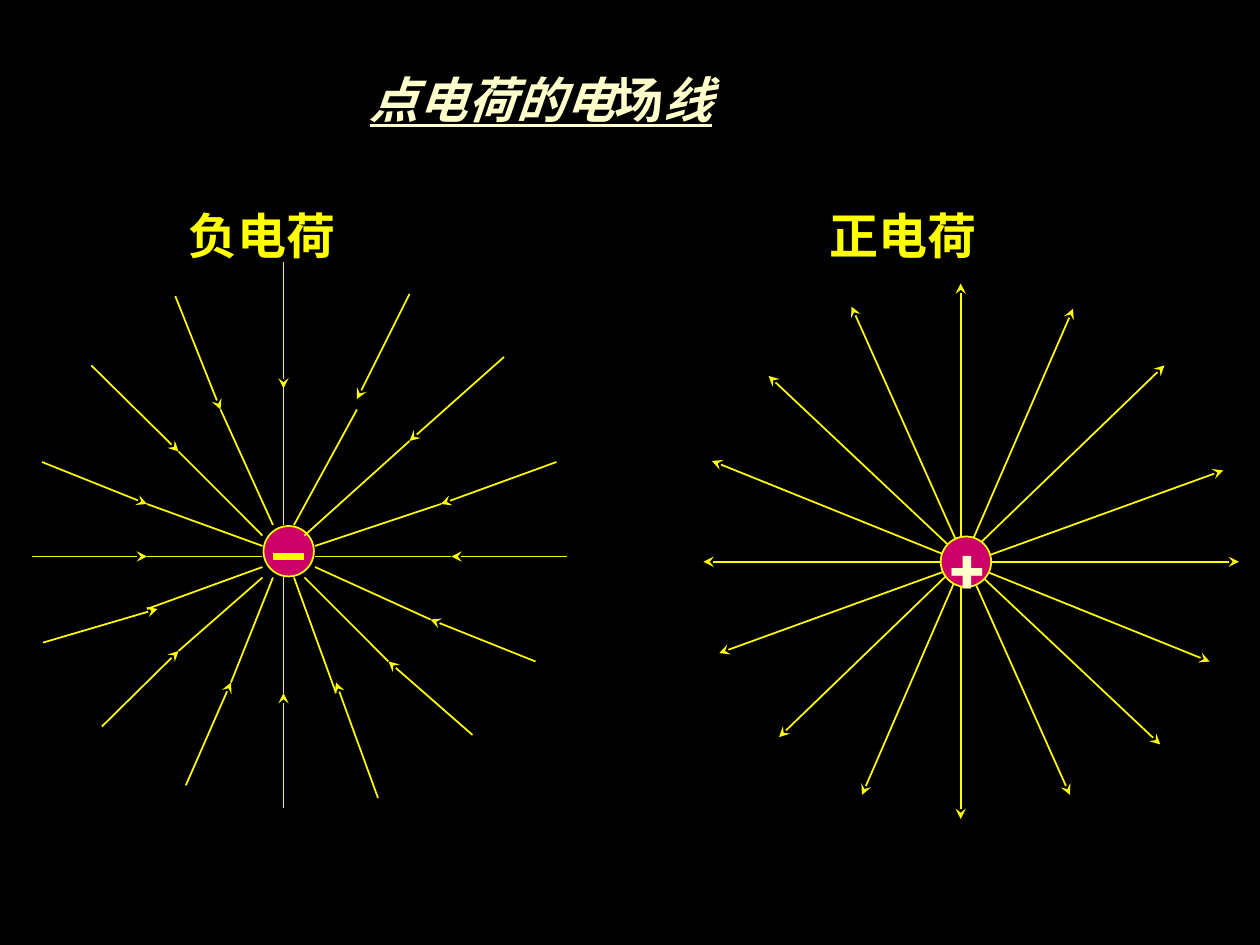
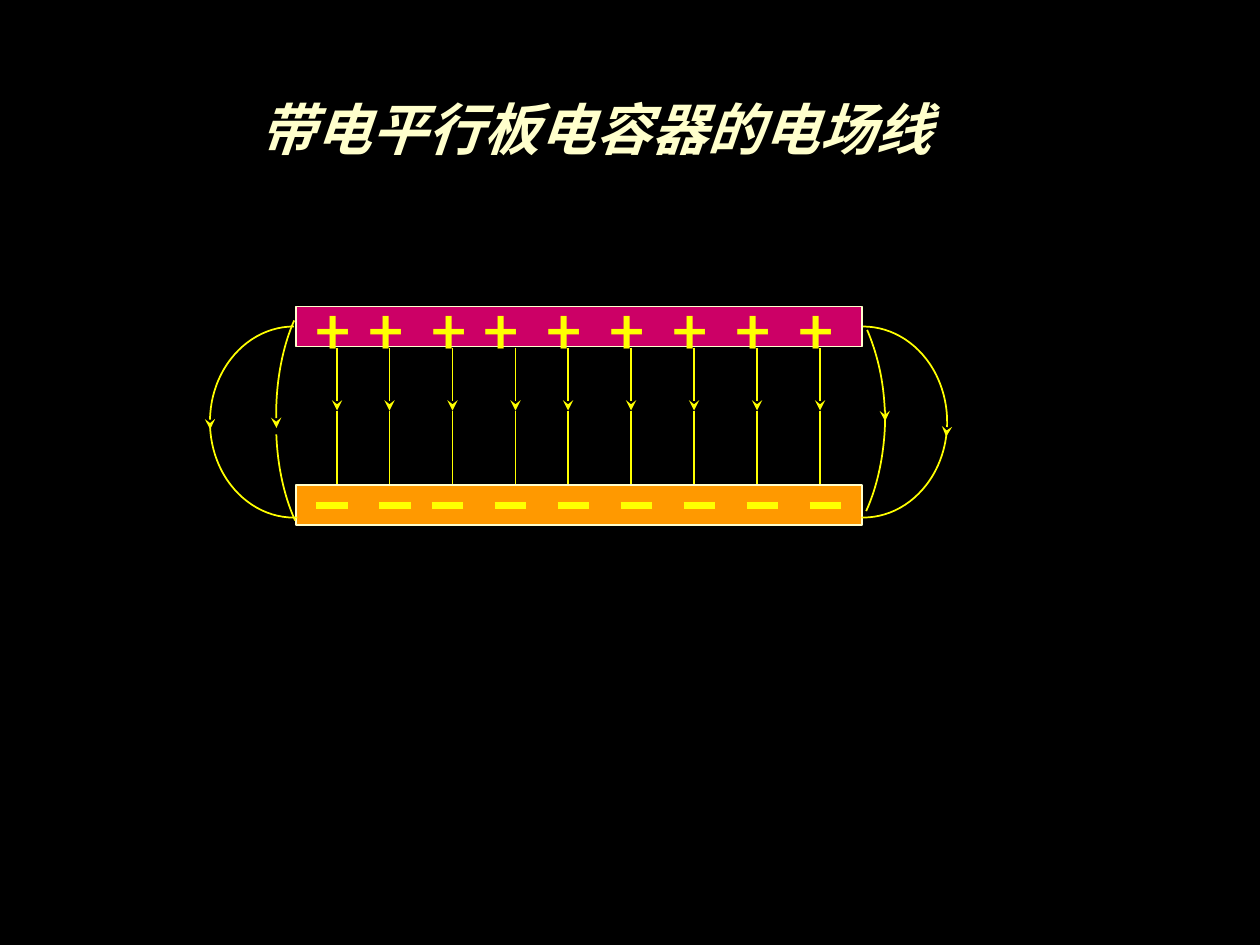
from dataclasses import dataclass
from itertools import accumulate
from lxml.etree import SubElement
from pptx import Presentation
from pptx.dml.color import RGBColor
from pptx.enum.shapes import MSO_CONNECTOR, MSO_SHAPE
from pptx.enum.text import MSO_ANCHOR, MSO_AUTO_SIZE, PP_ALIGN
from pptx.oxml.ns import qn
from pptx.util import Inches, Pt


@dataclass(frozen=True)
class Theme:
    """Colours, fonts, type sizes and line widths of the deck."""
    back: str = "000000"
    cream: str = "FFFFCC"
    yellow: str = "FFFF00"
    red: str = "CC0066"
    orange: str = "FF9900"
    font: str = "Roboto Slab"
    plain: str = "Times New Roman"
    small: int = 28
    large: int = 32
    sign: int = 36
    thin: int = 1
    thick: int = 4


class Board:
    """Draws on the current slide, on a grid of 120 columns by 90 rows."""

    def __init__(self, deck, theme):
        self.deck, self.theme, self.slide = deck, theme, None
        self.col, self.row = deck.slide_width / 120, deck.slide_height / 90

    def place(self, x, y):
        """Turn a column and a row into slide units."""
        return round(x * self.col), round(y * self.row)

    def start(self, words, box, size):
        """Add a slide with its title and return the title's runs."""
        self.slide = self.deck.slides.add_slide(self.deck.slide_layouts[5])
        fill = self.slide.background.fill
        fill.solid()
        fill.fore_color.rgb = RGBColor.from_string(self.theme.back)
        title = self.slide.shapes.title
        title.left, title.top = self.place(*box[:2])
        title.width, title.height = self.place(*box[2:])
        return self.letter(title, words, size, self.theme.cream, italic=True)

    def letter(self, shape, words, size, color, bold=True, italic=False):
        """Fill a text shape with one styled line and return its runs."""
        frame = shape.text_frame
        frame.word_wrap = False
        frame.auto_size = MSO_AUTO_SIZE.SHAPE_TO_FIT_TEXT
        frame.vertical_anchor = MSO_ANCHOR.TOP
        line = frame.paragraphs[0]
        line.alignment = PP_ALIGN.LEFT
        for part in words:
            line.add_run().text = part
        font = line.font
        font.name, font.size = self.theme.font, Pt(size)
        font.bold, font.italic = bold, italic
        font.color.rgb = RGBColor.from_string(color)
        return line.runs

    def label(self, text, box, size, color, bold=True):
        """Add a one-line text box."""
        shape = self.slide.shapes.add_textbox(*self.place(*box[:2]), *self.place(*box[2:]))
        self.letter(shape, [text], size, color, bold)

    def stroke(self, shape, color, width, ends=()):
        """Style an outline and add arrowheads at the named ends."""
        shape.line.color.rgb = RGBColor.from_string(color)
        shape.line.width = Pt(width)
        outline = shape._element.spPr.find(qn("a:ln"))
        for end in ends:
            SubElement(outline, qn(f"a:{end}End"), type="stealth")

    def line(self, start, stop, ends=(), width=None):
        """Add a straight yellow line."""
        link = self.slide.shapes.add_connector(
            MSO_CONNECTOR.STRAIGHT, *self.place(*start), *self.place(*stop))
        self.stroke(link, self.theme.yellow, width or self.theme.thin, ends)
        SubElement(link._element.spPr, qn("a:effectLst"))

    def solid(self, kind, box, fill, edge):
        """Add a filled preset shape."""
        shape = self.slide.shapes.add_shape(kind, *self.place(*box[:2]), *self.place(*box[2:]))
        shape.shadow.inherit = False
        shape.fill.solid()
        shape.fill.fore_color.rgb = RGBColor.from_string(fill)
        self.stroke(shape, edge, self.theme.thin)

    def arc(self, hub, reach, turn, ends=()):
        """Add part of an ellipse, clockwise between two angles in degrees."""
        (x, y), (wide, high) = hub, reach
        shape = self.slide.shapes.add_shape(
            MSO_SHAPE.ARC, *self.place(x - wide, y - high), *self.place(2 * wide, 2 * high))
        shape.shadow.inherit = False
        shape.fill.background()
        for spot, angle in enumerate(turn):
            shape.adjustments[spot] = angle * 0.6
        self.stroke(shape, self.theme.yellow, self.theme.thin, ends)


OUT_RAYS = [
    ((118, 53.5), (67, 53.5)), ((115.2, 63), (67.8, 43.9)),
    ((110.5, 70.9), (73.2, 35.8)), ((102.2, 29.4), (82.1, 75.7)),
    ((116.5, 44.8), (68.5, 62.2)), ((74.2, 70.2), (110.9, 34.8)),
    ((91.5, 78), (91.5, 27)), ((101.9, 75.7), (81.1, 29.2)),
]

IN_RAYS = [
    ((3, 53), (14, 53), (25, 53)),
    ((4, 44), (14, 48), (25, 52)),
    ((8.7, 34.8), (17, 43), (25, 51)),
    ((16.7, 28.2), (21, 39), (26, 50)),
    ((27, 25), (27, 37), (27, 50)),
    ((39, 28), (34, 38), (28, 50), (34, 39)),
    ((48, 34), (39, 42), (29, 51)),
    ((53, 44), (42, 48), (30, 52)),
    ((54, 53), (43, 53), (30, 53)),
    ((51, 63), (41, 59), (30, 54)),
    ((45, 70), (37, 63), (29, 55)),
    ((36, 76), (32, 65), (28, 55), (32, 66)),
    ((27, 77), (27, 66), (27, 55)),
    ((17.7, 74.8), (22, 65), (26, 55)),
    ((9.7, 69.2), (17, 62), (25, 55)),
    ((4.1, 61.2), (15, 58), (25, 54), (14, 58)),
]

WIDE, SLIM = (8, 9.1), (8, 14.5)
ARCS = [
    ((28, 40.2), WIDE, (175, 270), ["head"]),
    ((28, 40.2), WIDE, (88, 177), []),
    ((82.2, 40.2), WIDE, (270, 10), ["tail"]),
    ((82.2, 40.2), WIDE, (7, 91), []),
    ((34.3, 39.5), SLIM, (171, 235), ["head"]),
    ((34.3, 40.4), SLIM, (124, 173), []),
    ((76.3, 40.4), SLIM, (305, 358), ["tail"]),
    ((76.3, 39.5), SLIM, (357, 56), []),
]


def draw_points(board):
    """Draw the field lines of single charges."""
    theme = board.theme
    runs = board.start(["点电荷的电", "场", "线"], (34, 6, 35.3, 6.8), theme.small)
    for run in runs:
        run.font.underline = True
    runs[1].font.name, runs[1].font.italic = theme.plain, False
    for text, left in (("正电荷", 77.8), ("负电荷", 16.8)):
        board.label(text, (left, 19, 16.5, 6.8), theme.small, theme.yellow)
    for start, stop in OUT_RAYS:
        board.line(start, stop, ["head", "tail"])
    for left, top in ((89.6, 51.1), (25.1, 50.1)):
        board.solid(MSO_SHAPE.OVAL, (left, top, 4.8, 4.8), theme.red, theme.yellow)
    board.label("+", (89.3, 49.9, 6, 8.4), theme.sign, theme.cream)
    board.line((26, 53), (29, 53), width=theme.thick)
    for far, tip, near, *root in IN_RAYS:
        board.line(far, tip, ["tail"])
        board.line(root[0] if root else tip, near)


def draw_plates(board):
    """Draw the field lines between two charged plates."""
    theme = board.theme
    board.start(["带电平行板电容器的电场线"], (23.5, 8.4, 66.7, 7.6), theme.large)
    for top, fill in ((46.2, theme.orange), (29.2, theme.red)):
        board.solid(MSO_SHAPE.RECTANGLE, (28.2, top, 53.9, 3.8), fill, theme.cream)
    for x in accumulate([28.9, 5, 6, 5, 6, 6, 6, 6, 6]):
        board.label("+", (x, 27.1, 6, 8.4), theme.sign, theme.yellow, bold=False)
    for x in accumulate([30.1, 6, 5, 6, 6, 6, 6, 6, 6]):
        board.line((x, 48.1), (x + 3, 48.1), width=theme.thick)
    for x in accumulate([32.1, 5, 6, 6, 5, 6, 6, 6, 6]):
        board.line((x, 33.1), (x, 39.1), ["tail"])
        board.line((x, 39.1), (x, 46.1))
    for hub, reach, turn, ends in ARCS:
        board.arc(hub, reach, turn, ends)


def main():
    """Build the deck and save it."""
    deck = Presentation()
    deck.slide_width, deck.slide_height = Inches(10), Inches(7.5)
    board = Board(deck, Theme())
    draw_points(board)
    draw_plates(board)
    deck.save("out.pptx")


if __name__ == "__main__":
    main()
